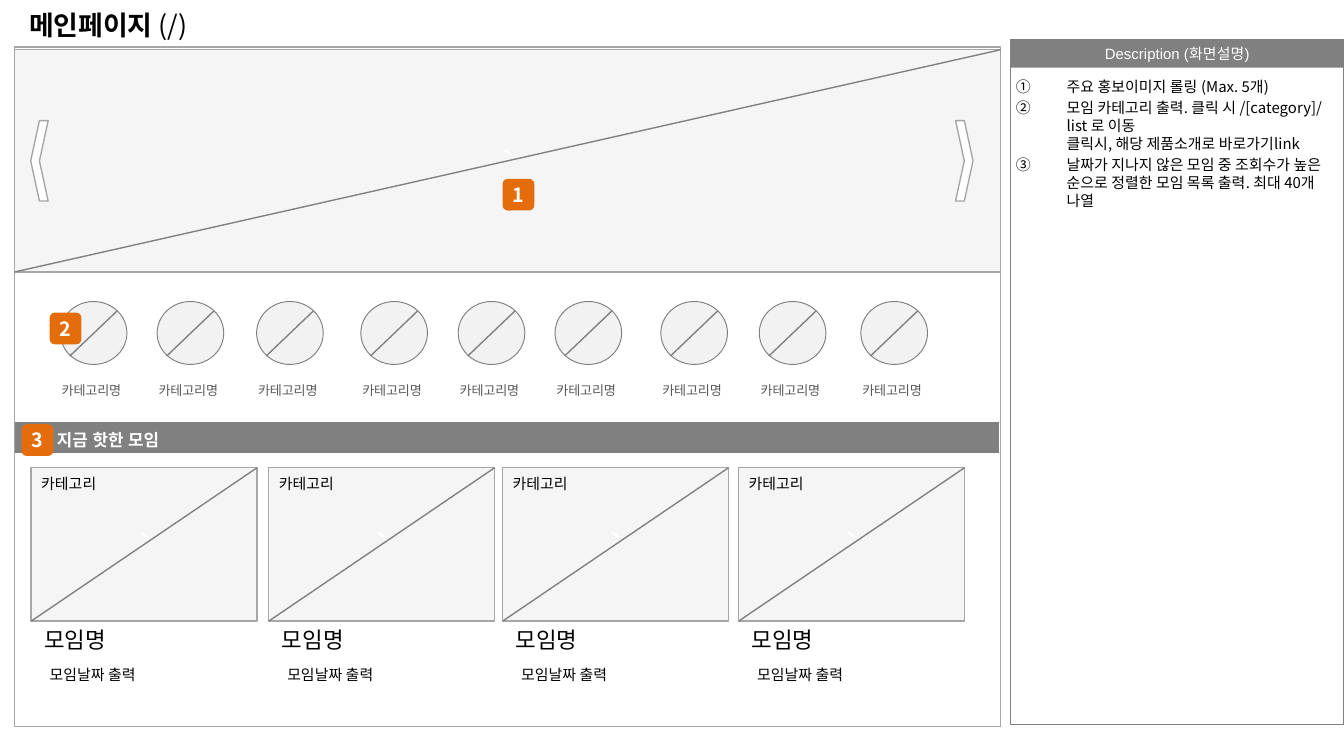
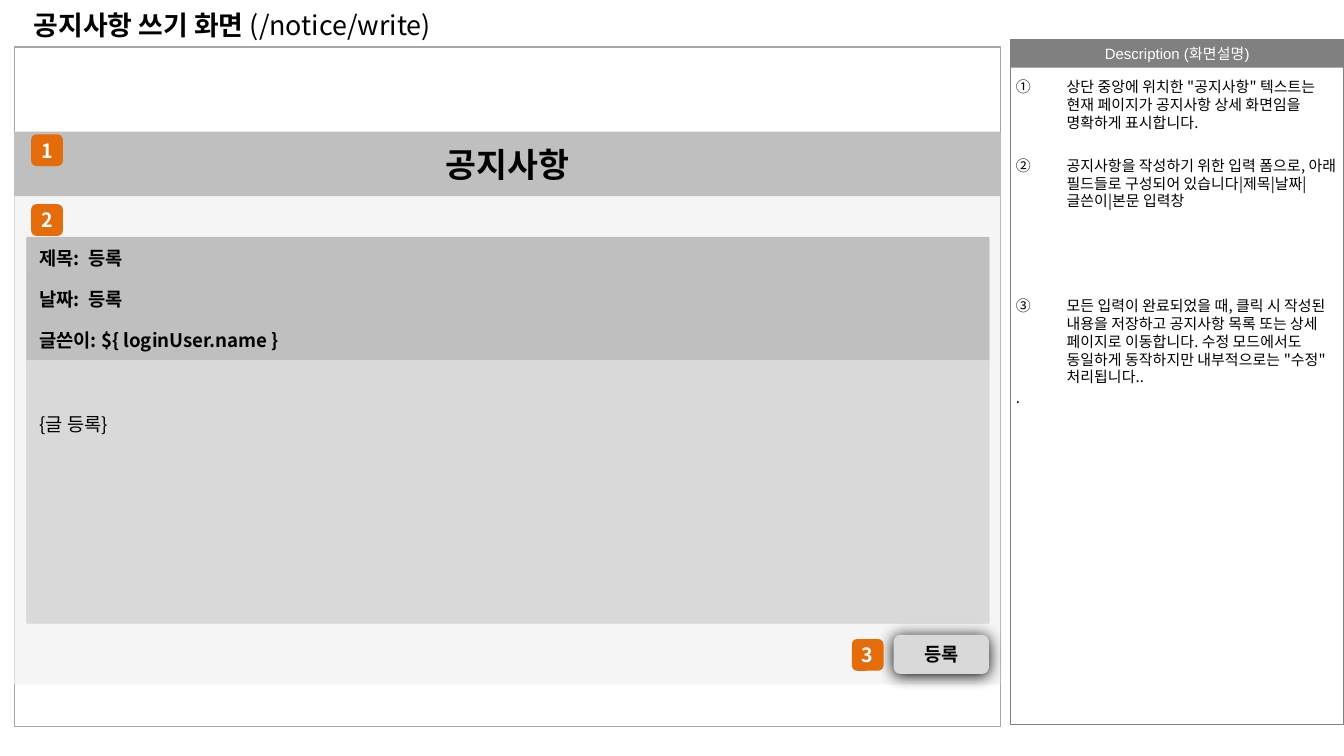
from lxml.etree import SubElement
from pptx import Presentation
from pptx.dml.color import RGBColor
from pptx.enum.shapes import MSO_CONNECTOR, MSO_SHAPE
from pptx.enum.text import MSO_ANCHOR, PP_ALIGN
from pptx.oxml.ns import qn
from pptx.util import Cm, Pt

# Shared look
SANS, ARIAL = "Noto Sans CJK KR", "Arial"
BLACK, WHITE, GRAY, EDGE = "000000", "FFFFFF", "808080", "A6A6A6"
PALE, LIGHT, MID, DARK, ORANGE = "F2F2F2", "D9D9D9", "BFBFBF", "595959", "E46C0A"
LEFT, CENTER = PP_ALIGN.LEFT, PP_ALIGN.CENTER
TOP, MIDDLE = MSO_ANCHOR.TOP, MSO_ANCHOR.MIDDLE


def paint(part, hue):
    """Colour a fill or a font; a fill must be solid first."""
    if hasattr(part, "solid"):
        part.solid()
        part.fore_color.rgb = RGBColor.from_string(hue)
    else:
        part.color.rgb = RGBColor.from_string(hue)


def style(run, size, hue=BLACK, bold=False, face=SANS):
    font = run.font
    font.size, font.bold, font.name = Pt(size), bold, face
    paint(font, hue)
    props = run._r.get_or_add_rPr()
    props.set("kern", "0")
    SubElement(props, qn("a:ea"), typeface=face)


def write(shape, words, size, hue=BLACK, bold=False, face=SANS,
          align=LEFT, anchor=MIDDLE):
    frame = shape.text_frame
    frame.text = words
    frame.word_wrap = True
    frame.vertical_anchor = anchor
    para = frame.paragraphs[0]
    para.alignment = align
    style(para.runs[0], size, hue, bold, face)
    return para


def block(shapes, box, fill=None, edge=None, kind=MSO_SHAPE.RECTANGLE,
          alpha=None, width=0.75):
    shape = shapes.add_shape(kind, *map(Cm, box))
    shape.shadow.inherit = False
    if fill:
        paint(shape.fill, fill)
    else:
        shape.fill.background()
    if alpha:
        tone = shape._element.spPr.find(qn("a:solidFill"))[0]
        SubElement(tone, qn("a:alpha"), val=str(alpha * 1000))
    if edge:
        paint(shape.line.fill, edge)
        shape.line.width = Pt(width)
    else:
        shape.line.fill.background()
    return shape


def label(shapes, box, words, size, **look):
    return write(shapes.add_textbox(*map(Cm, box)), words, size, **look)


def slash(shapes, *ends):
    line = shapes.add_connector(MSO_CONNECTOR.STRAIGHT, *map(Cm, ends))
    paint(line.line.fill, GRAY)
    line.line.width = Pt(0.75)
    SubElement(line._element.spPr, qn("a:effectLst"))


def image(shapes, x, y, w, h):
    """Crossed box that stands for an image."""
    group = shapes.add_group_shape().shapes
    box = block(group, (x, y, w, h), PALE, EDGE, alpha=70)
    write(box, "`", 18, WHITE, True, ARIAL, CENTER)
    slash(group, x + w, y, x, y + h)


def badge(shapes, num, x, y):
    box = block(shapes, (x, y, 0.6, 0.6), ORANGE,
                kind=MSO_SHAPE.ROUNDED_RECTANGLE)
    box.text_frame.margin_left = box.text_frame.margin_right = 0
    write(box, str(num), 10.5, WHITE, True, align=CENTER)


def pill(shapes, box, words, size, hue, bold=False):
    shape = block(shapes, box, kind=MSO_SHAPE.ROUNDED_RECTANGLE)
    shape.adjustments[0] = 0.1
    write(shape, words, size, hue, bold, ARIAL)


def icon(shapes, x):
    group = shapes.add_group_shape().shapes
    block(group, (x, 5.7, 1.26, 1.19), PALE, GRAY, MSO_SHAPE.OVAL, width=0.5)
    slash(group, x + 1.07, 5.88, x + 0.18, 6.73)
    pill(shapes, (x - 0.24, 7.06, 1.98, 0.64), "카테고리명", 7, DARK)


def card(shapes, x):
    image(shapes, x, 8.84, 4.27, 2.9)
    label(shapes, (x - 0.06, 8.85, 1.65, 0.61), "카테고리", 8, anchor=TOP)
    label(shapes, (x, 11.71, 1.8, 0.76), "모임명", 12, anchor=TOP)
    label(shapes, (x + 0.1, 12.46, 2.34, 0.61), "모임날짜 출력", 8, anchor=TOP)


def notes(shapes, items):
    """Numbered remarks as (space before in points, numbered, words)."""
    frame = shapes.add_textbox(*map(Cm, (19.1, 1.35, 6.3, 12.4))).text_frame
    frame.word_wrap = True
    frame.margin_left, frame.margin_right = Cm(0.1), Cm(0.05)
    for i, (gap, count, words) in enumerate(items):
        para = frame.add_paragraph() if i else frame.paragraphs[0]
        para.text = words
        para.space_before = Pt(gap)
        for run in para.runs:
            style(run, 8)
        for stop in para._p.findall(qn("a:br")):
            SubElement(stop, qn("a:rPr"), sz="800")
        if count:
            props = para._p.get_or_add_pPr()
            props.set("marL", str(Cm(0.96)))
            props.set("indent", str(Cm(-0.96)))
            SubElement(props, qn("a:buAutoNum"), type="circleNumDbPlain")


def page(deck, x, title, route, items):
    """Slide with the shared title, frame and description column."""
    shapes = deck.slides.add_slide(deck.slide_layouts[6]).shapes
    head = block(shapes, (19.1, 0.75, 6.3, 0.53), GRAY)
    write(head, "Description (화면설명)", 8, WHITE, face=ARIAL, align=CENTER)
    block(shapes, (19.1, 0.75, 6.3, 12.95), edge=GRAY)
    block(shapes, (0.28, 0.89, 18.63, 12.85), WHITE, EDGE, alpha=70)
    para = label(shapes, (x, 0.07, 18.5, 0.81), title + " ", 14.4, bold=True)
    run = para.add_run()
    run.text = route
    style(run, 14.4)
    notes(shapes, items)
    return shapes


def home(deck):
    shapes = page(deck, 0.3, "메인페이지", "(/)", [
        (1.6, True, "주요 홍보이미지 롤링 (Max. 5개)"),
        (1.6, True, "모임 카테고리 출력. 클릭 시 /[category]/\nlist 로 이동\n"
                    "클릭시, 해당 제품소개로 바로가기link"),
        (1.6, True, "날짜가 지나지 않은 모임 중 조회수가 높은 순으로 정렬한 "
                    "모임 목록 출력. 최대 40개 나열"),
    ])
    # Rolling banner
    image(shapes, 0.28, 0.94, 18.63, 4.2)
    for x, turn in ((18.06, 0), (0.58, 180)):
        arrow = block(shapes, (x, 2.28, 0.33, 1.52), WHITE, EDGE,
                      MSO_SHAPE.CHEVRON)
        arrow.rotation = turn
    # Categories
    for x in (1.14, 2.97, 4.85, 6.82, 8.66, 10.49, 12.49, 14.35, 16.27):
        icon(shapes, x)
    # Hot meetings
    block(shapes, (0.28, 7.98, 18.6, 0.58), GRAY)
    pill(shapes, (0.81, 8, 4.88, 0.64), "지금 핫한 모임", 9, WHITE, True)
    for x in (0.59, 5.08, 9.5, 13.96):
        card(shapes, x)
    for num, x, y in ((1, 9.5, 3.38), (2, 0.94, 5.91), (3, 0.41, 8.02)):
        badge(shapes, num, x, y)


def button(shapes, box, words):
    shape = block(shapes, box, LIGHT, kind=MSO_SHAPE.ROUNDED_RECTANGLE)
    glow = SubElement(shape._element.spPr.find(qn("a:effectLst")),
                      qn("a:outerShdw"), blurRad=str(Pt(8.5)),
                      dist=str(Pt(1)), dir="5400000", algn="ctr")
    SubElement(glow, qn("a:srgbClr"), val=BLACK)
    write(shape, words, 10, bold=True, align=CENTER)


def form(deck):
    shapes = page(deck, 0.39, "공지사항 쓰기 화면", "(/notice/write)", [
        (1.6, True, "상단 중앙에 위치한 \"공지사항\" 텍스트는 현재 페이지가 "
                    "공지사항 상세 화면임을 명확하게 표시합니다."),
        (13.2, True, "공지사항을 작성하기 위한 입력 폼으로, 아래 필드들로 "
                     "구성되어 있습니다|제목|날짜|글쓴이|본문 입력창"),
        (46.4, True, "모든 입력이 완료되었을 때, 클릭 시 작성된 내용을 저장하고 "
                     "공지사항 목록 또는 상세 페이지로 이동합니다. 수정 모드에서도 "
                     "동일하게 동작하지만 내부적으로는 \"수정\" 처리됩니다.."),
        (1.6, False, "."),
    ])
    # Panel and heading
    block(shapes, (0.27, 2.51, 18.64, 10.43), PALE, alpha=70)
    band = block(shapes, (0.27, 2.49, 18.64, 1.22), MID)
    write(band, "공지사항", 18, bold=True, align=CENTER)
    # Fields
    block(shapes, (0.5, 4.5, 18.2, 7.29), LIGHT)
    fields = ("제목:  등록", "날짜:  등록", "글쓴이: ${ loginUser.name }")
    for i, words in enumerate(fields):
        row = block(shapes, (0.5, 4.48 + 0.77 * i, 18.2, 0.81), MID)
        write(row, words, 10, bold=True)
    body = block(shapes, (0.5, 6.81, 18.2, 4.97), LIGHT)
    body.text_frame.margin_top = Cm(0.99)
    write(body, "{글 등록}", 10, anchor=TOP)
    # Button and markers
    button(shapes, (16.89, 12, 1.8, 0.74), "등록")
    for num, x, y in ((1, 0.59, 2.54), (2, 0.59, 3.86), (3, 16.1, 12.08)):
        badge(shapes, num, x, y)


def main():
    deck = Presentation()
    deck.slide_width, deck.slide_height = Cm(25.4), Cm(14.29)
    home(deck)
    form(deck)
    deck.save("out.pptx")


if __name__ == "__main__":
    main()
